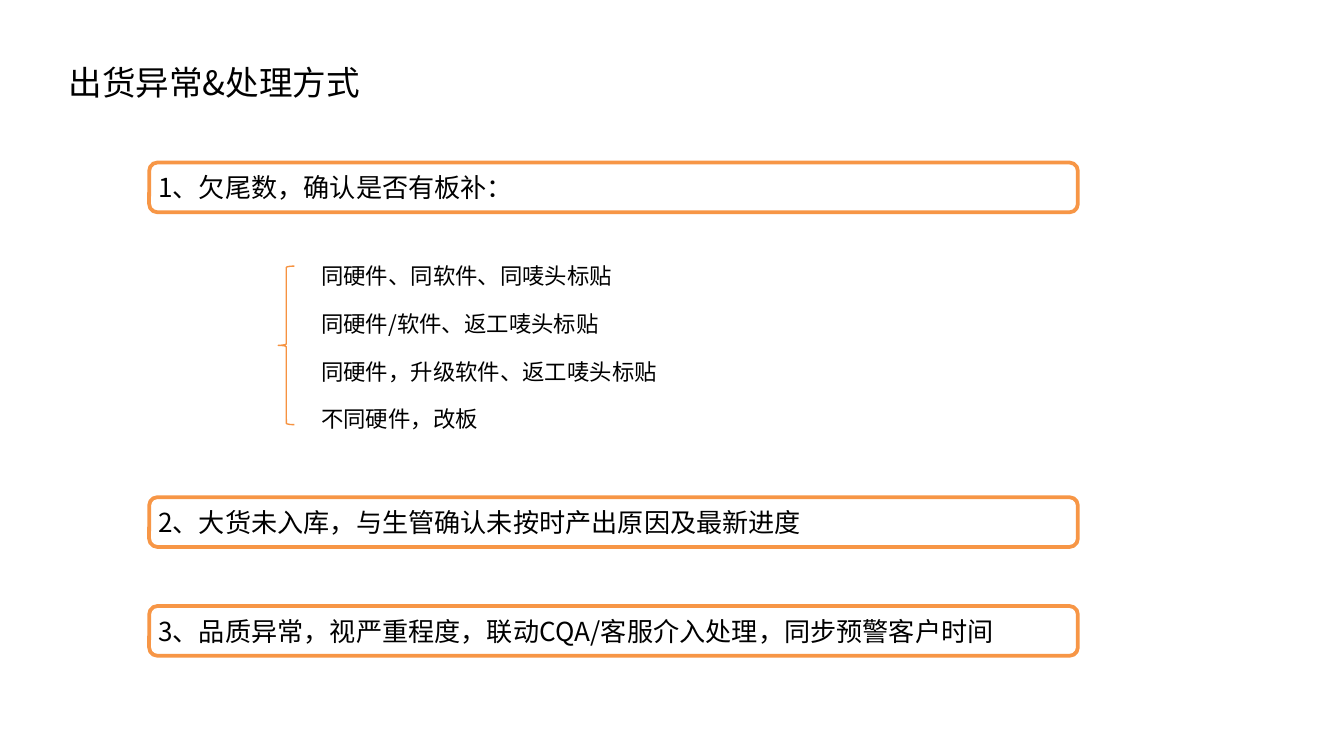
from lxml import etree
from pptx import Presentation
from pptx.dml.color import RGBColor
from pptx.enum.shapes import MSO_SHAPE
from pptx.enum.text import MSO_ANCHOR, MSO_AUTO_SIZE, PP_ALIGN
from pptx.oxml.ns import qn
from pptx.util import Inches, Pt

BLACK = RGBColor(0x00, 0x00, 0x00)
WHITE = RGBColor(0xFF, 0xFF, 0xFF)
ORANGE = RGBColor(0xF7, 0x96, 0x46)
BRACE_ORANGE = RGBColor(0xF6, 0x92, 0x40)
FONT = "Noto Sans CJK SC"

FRAME_FORMAT = {
    "word_wrap": True,
    "auto_size": MSO_AUTO_SIZE.NONE,
    "margin_left": Inches(0.05),
    "margin_right": Inches(0.05),
    "margin_top": Inches(0.05),
    "margin_bottom": Inches(0.05),
}
PARAGRAPH_FORMAT = {"alignment": PP_ALIGN.LEFT, "space_before": Pt(0)}

STEPS = [
    (1.21, "1、欠尾数，确认是否有板补："),
    (3.7, "2、大货未入库，与生管确认未按时产出原因及最新进度"),
    (4.51, "3、品质异常，视严重程度，联动CQA/客服介入处理，同步预警客户时间"),
]
OPTIONS = [
    "同硬件、同软件、同唛头标贴",
    "同硬件/软件、返工唛头标贴",
    "同硬件，升级软件、返工唛头标贴",
    "不同硬件，改板",
]


def apply_format(target, values):
    for name, value in values.items():
        setattr(target, name, value)


def place(shape, left, top, width, height):
    box = {"left": left, "top": top, "width": width, "height": height}
    apply_format(shape, {side: Inches(length) for side, length in box.items()})


def write(shape, lines, size, anchor=MSO_ANCHOR.TOP, gap=0):
    frame = shape.text_frame
    apply_format(frame, {**FRAME_FORMAT, "vertical_anchor": anchor})
    frame.text = "\n".join(lines)
    for paragraph in frame.paragraphs:
        apply_format(paragraph, {**PARAGRAPH_FORMAT, "space_after": Pt(gap)})
        for run in paragraph.runs:
            apply_format(run.font, {"name": FONT, "size": Pt(size)})
            run.font.color.rgb = BLACK
            # East Asian glyphs take their own typeface
            etree.SubElement(run.font._element, qn("a:ea")).set("typeface", FONT)


def add_heading(slide, left, top, width, height):
    heading = slide.shapes.title
    place(heading, left, top, width, height)
    write(heading, ["出货异常&处理方式"], 18)


def add_step(slide, text, left, top, width, height):
    step = slide.shapes.add_shape(
        MSO_SHAPE.ROUNDED_RECTANGLE,
        Inches(left), Inches(top), Inches(width), Inches(height))
    step.shadow.inherit = False
    step.fill.solid()
    step.fill.fore_color.rgb = WHITE
    step.line.color.rgb = ORANGE
    step.line.width = Pt(2)
    write(step, [text], 14, MSO_ANCHOR.MIDDLE)


def add_options(slide, left, top, width, height):
    # Brace spanning the options
    brace = slide.shapes.add_shape(
        MSO_SHAPE.LEFT_BRACE, Inches(left), Inches(top + 0.08),
        Inches(0.12), Inches(height - 0.18))
    brace.shadow.inherit = False
    brace.fill.background()
    brace.line.color.rgb = BRACE_ORANGE
    brace.line.width = Pt(0.75)

    # Unbulleted list to the right of the brace
    options = slide.placeholders[1]
    place(options, left + 0.27, top, width - 0.27, height)
    write(options, OPTIONS, 12, gap=11.2)
    for paragraph in options.text_frame.paragraphs:
        properties = paragraph._p.get_or_add_pPr()
        properties.set("marL", "0")
        properties.set("indent", "0")
        etree.SubElement(properties, qn("a:buNone"))


def main():
    deck = Presentation()
    # Widescreen, 16:9
    deck.slide_width = Inches(10)
    deck.slide_height = deck.slide_width * 9 // 16
    slide = deck.slides.add_slide(deck.slide_layouts[1])
    add_heading(slide, 0.46, 0.41, 3.61, 0.4)
    for top, text in STEPS:
        add_step(slide, text, 1.11, top, 6.91, 0.37)
    add_options(slide, 2.07, 1.9, 3.89, 1.36)
    deck.save("out.pptx")


if __name__ == "__main__":
    main()
